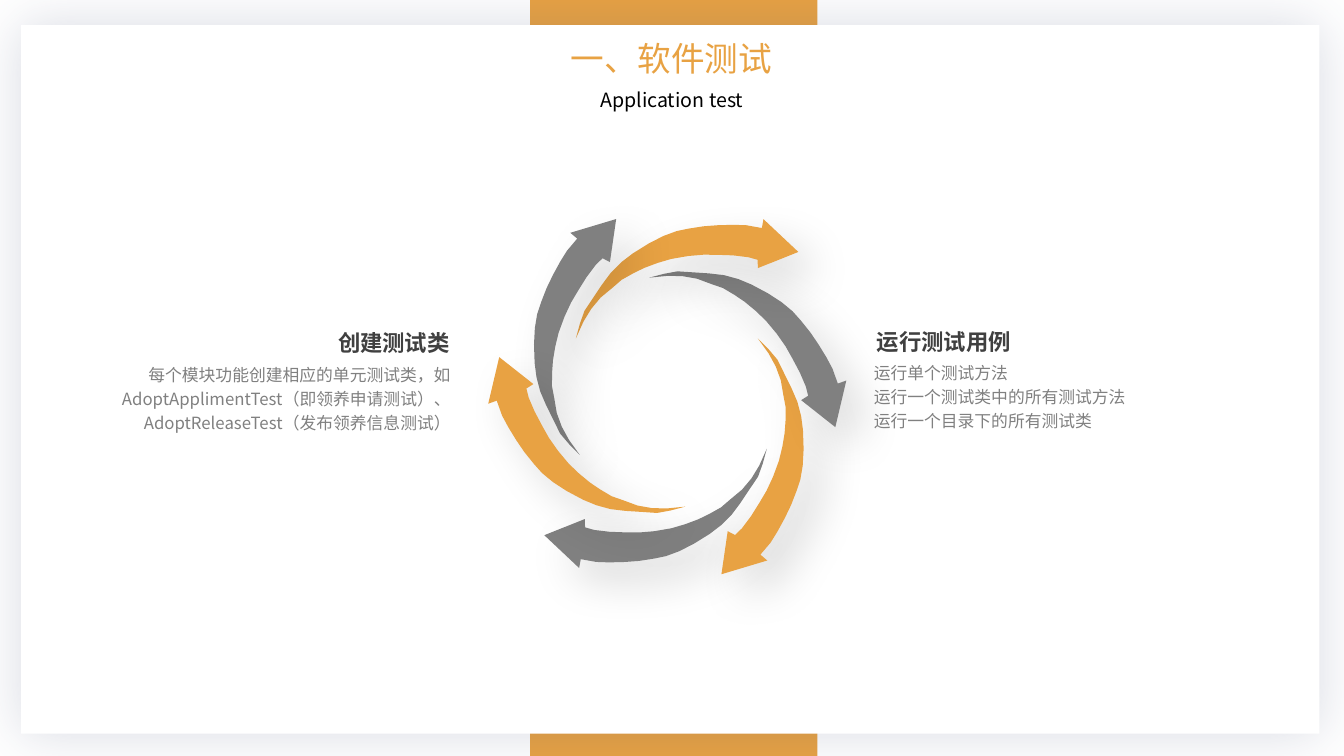
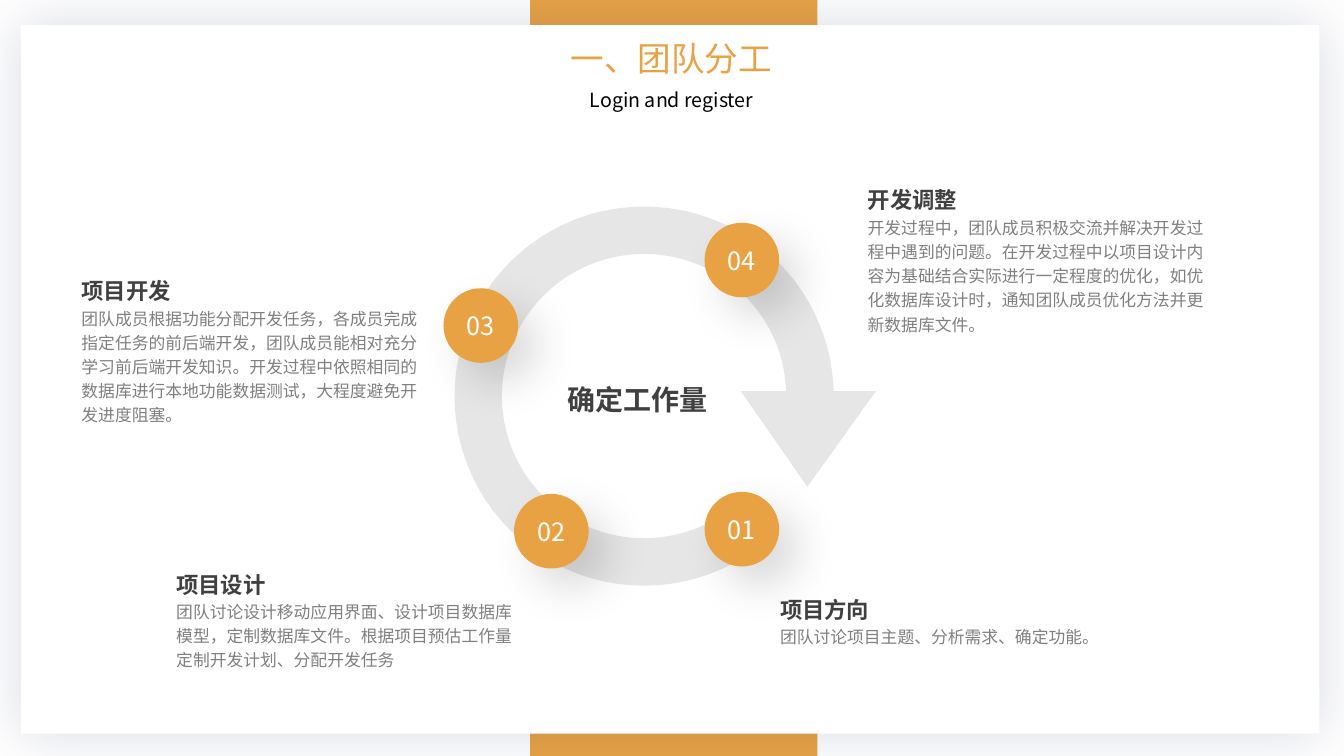
"""Build two slides about software testing and team roles."""
import math
from dataclasses import dataclass

import lxml.etree
import pptx
import pptx.dml.color
import pptx.enum.shapes
import pptx.enum.text
import pptx.oxml.ns
import pptx.presentation
import pptx.shapes.autoshape
import pptx.slide
import pptx.text.text
import pptx.util

Inches = pptx.util.Inches
Pt = pptx.util.Pt
qn = pptx.oxml.ns.qn
Align = pptx.enum.text.PP_ALIGN
Preset = pptx.enum.shapes.MSO_SHAPE
Point = tuple[float, float]

FONT = "Noto Sans CJK SC"
COLORS = {
    "accent": "E8A243",
    "white": "FFFFFF",
    "black": "000000",
    "heading": "404040",
    "gray": "808080",
    "ring": "E7E6E6",
    "panel_shadow": "434E77",
}


@dataclass(frozen=True)
class TextStyle:
    size: float
    color: str
    bold: bool = False
    spacing: float | None = None


@dataclass(frozen=True)
class Shadow:
    color: str
    opacity: int
    blur: float
    distance: float = 0
    angle: float = 0


@dataclass(frozen=True)
class Label:
    text: str
    left: float
    top: float
    width: float
    height: float
    style: TextStyle
    align: Align = Align.LEFT


@dataclass(frozen=True)
class Badge:
    number: str
    left: float
    top: float


@dataclass(frozen=True)
class Stage:
    heading: str
    body: str
    left: float
    heading_top: float
    body_top: float
    body_height: float


TITLE = TextStyle(24, "accent")
SUBTITLE = TextStyle(14, "black")
HEADING = TextStyle(16, "heading", True, 1.2)
BODY = TextStyle(12, "gray", False, 1.2)
CENTER = TextStyle(20, "heading", True, 1.2)
BADGE = TextStyle(18, "white")
PANEL_SHADOW = Shadow("panel_shadow", 20, 40)
SOFT_SHADOW = Shadow("black", 14, 32, 19, 45)

BADGE_SIZE = 0.74
ARROW_ANGLE = 343.6
ARROW_STEP = 60
ARROW_CENTERS = [(6.58, 5.14), (7.6, 4.59), (7.55, 3.3), (6.74, 2.67), (5.67, 3.28), (5.69, 4.48)]
ARROW_OUTLINE = [
    (-0.77, -0.13), (-0.75, -0.21), (-1.18, -0.17), (-0.94, 0.24), (-0.9, 0.16),
    (-0.76, 0.23), (-0.64, 0.27), (-0.49, 0.31), (-0.35, 0.34), (-0.2, 0.36),
    (-0.08, 0.37), (0.06, 0.36), (0.22, 0.33), (0.4, 0.28), (0.53, 0.23),
    (0.66, 0.16), (0.78, 0.07), (0.9, -0.03), (1.02, -0.13), (1.1, -0.24),
    (1.18, -0.37), (1.06, -0.23), (0.95, -0.13), (0.83, -0.05), (0.69, 0.01),
    (0.58, 0.06), (0.45, 0.09), (0.33, 0.11), (0.19, 0.12), (0.05, 0.12),
    (-0.12, 0.1), (-0.27, 0.07), (-0.4, 0.03), (-0.55, -0.02), (-0.69, -0.08),
]
RING_CENTER = (6.39, 3.93)
OUTER_RADIUS = 1.88
INNER_RADIUS = 1.41
OUTER_ANGLES = [52, 90, 180, 270, 358.5]
INNER_ANGLES = [358, 270, 180, 90, 53.5]
RING_HEAD = [(8.69, 3.88), (8.01, 4.83), (7.35, 3.88)]

TEST_LABELS = [
    Label("每个模块功能创建相应的单元测试类，如AdoptApplimentTest（即领养申请测试）、AdoptReleaseTest（发布领养信息测试）",
          0.75, 3.53, 3.82, 0.81, BODY, Align.RIGHT),
    Label("创建测试类", 2.11, 3.16, 2.45, 0.4, HEADING, Align.RIGHT),
    Label("运行单个测试方法\n运行一个测试类中的所有测试方法\n运行一个目录下的所有测试类",
          8.57, 3.51, 3.82, 0.81, BODY),
    Label("运行测试用例", 8.6, 3.15, 2.45, 0.4, HEADING),
]
BADGES = [
    Badge("01", 6.99, 4.88),
    Badge("02", 5.1, 4.9),
    Badge("03", 4.4, 2.86),
    Badge("04", 6.99, 2.21),
]
STAGES = [
    Stage("项目方向", "团队讨论项目主题、分析需求、确定功能。", 7.64, 5.81, 6.13, 0.34),
    Stage("开发调整", "开发过程中，团队成员积极交流并解决开发过程中遇到的问题。在开发过程中以项目设计内容为基础结合实际进行一定程度的优化，如优化数据库设计时，通知团队成员优化方法并更新数据库文件。",
          8.51, 1.74, 2.07, 1.31),
    Stage("项目设计", "团队讨论设计移动应用界面、设计项目数据库模型，定制数据库文件。根据项目预估工作量定制开发计划、分配开发任务",
          1.65, 5.56, 5.88, 0.83),
    Stage("项目开发", "团队成员根据功能分配开发任务，各成员完成指定任务的前后端开发，团队成员能相对充分学习前后端开发知识。开发过程中依照相同的数据库进行本地功能数据测试，大程度避免开发进度阻塞。",
          0.71, 2.65, 2.97, 1.31),
]


def rgb(name: str) -> pptx.dml.color.RGBColor:
    return pptx.dml.color.RGBColor.from_string(COLORS[name])


def paint(shape: pptx.shapes.autoshape.Shape, color: str, shadow: Shadow | None = None) -> None:
    shape.fill.solid()
    shape.fill.fore_color.rgb = rgb(color)
    shape.line.fill.background()
    shape.shadow.inherit = False
    if shadow is None:
        return
    effects = shape._element.spPr.find(qn("a:effectLst"))
    outer = lxml.etree.SubElement(effects, qn("a:outerShdw"), {
        "blurRad": str(Pt(shadow.blur)),
        "dist": str(Pt(shadow.distance)),
        "dir": str(round(shadow.angle * 60000)),
        "algn": "ctr",
        "rotWithShape": "0",
    })
    tint = lxml.etree.SubElement(outer, qn("a:srgbClr"), val=COLORS[shadow.color])
    lxml.etree.SubElement(tint, qn("a:alpha"), val=str(shadow.opacity * 1000))


def write(paragraph: pptx.text.text._Paragraph, text: str, style: TextStyle, align: Align) -> None:
    paragraph.alignment = align
    if style.spacing:
        paragraph.line_spacing = style.spacing
    for index, line in enumerate(text.split("\n")):
        if index:
            paragraph.add_line_break()
        run = paragraph.add_run()
        run.text = line
        run.font.size = Pt(style.size)
        run.font.bold = style.bold
        run.font.color.rgb = rgb(style.color)
        run.font.name = FONT
        properties = run._r.get_or_add_rPr()
        lxml.etree.SubElement(properties, qn("a:ea"), typeface=FONT)


def add_label(slide: pptx.slide.Slide, label: Label) -> None:
    box = slide.shapes.add_textbox(
        Inches(label.left), Inches(label.top), Inches(label.width), Inches(label.height))
    frame = box.text_frame
    frame.word_wrap = True
    frame.auto_size = pptx.enum.text.MSO_AUTO_SIZE.SHAPE_TO_FIT_TEXT
    write(frame.paragraphs[0], label.text, label.style, label.align)


def add_preset(slide: pptx.slide.Slide, preset: Preset, left: float, top: float, width: float,
               height: float, color: str, shadow: Shadow | None = None) -> pptx.shapes.autoshape.Shape:
    shape = slide.shapes.add_shape(
        preset, Inches(left), Inches(top), Inches(width), Inches(height))
    paint(shape, color, shadow)
    return shape


def add_outline(slide: pptx.slide.Slide, points: list[Point], color: str,
                shadow: Shadow | None = None) -> pptx.shapes.autoshape.Shape:
    corners = [(Inches(x), Inches(y)) for x, y in points]
    builder = slide.shapes.build_freeform(*corners[0])
    builder.add_line_segments(corners[1:], close=True)
    shape = builder.convert_to_shape()
    paint(shape, color, shadow)
    return shape


def on_ring(radius: float, degrees: float) -> Point:
    angle = math.radians(degrees)
    return RING_CENTER[0] + radius * math.cos(angle), RING_CENTER[1] + radius * math.sin(angle)


def arc_controls(radius: float, start: float, end: float) -> list[Point]:
    handle = 4 / 3 * math.tan(math.radians(end - start) / 4)
    reach = radius * math.hypot(1, handle)
    lean = math.degrees(math.atan(handle))
    return [on_ring(reach, start + lean), on_ring(reach, end - lean)]


def bend(shape: pptx.shapes.autoshape.Shape, segment: lxml.etree._Element,
         controls: list[Point]) -> None:
    segment.tag = qn("a:cubicBezTo")
    for index, (x, y) in enumerate(controls):
        position = {"x": str(Inches(x) - shape.left), "y": str(Inches(y) - shape.top)}
        segment.insert(index, lxml.etree.Element(qn("a:pt"), position))


def add_ring(slide: pptx.slide.Slide) -> None:
    outer = [on_ring(OUTER_RADIUS, angle) for angle in OUTER_ANGLES]
    inner = [on_ring(INNER_RADIUS, angle) for angle in INNER_ANGLES]
    ring = add_outline(slide, outer + RING_HEAD + inner, "ring")
    segments = list(ring._element.iter(qn("a:lnTo")))
    inner_start = len(outer) + len(RING_HEAD)
    for radius, angles, first in ((OUTER_RADIUS, OUTER_ANGLES, 0),
                                  (INNER_RADIUS, INNER_ANGLES, inner_start)):
        for index, (start, end) in enumerate(zip(angles, angles[1:])):
            bend(ring, segments[first + index], arc_controls(radius, start, end))


def add_base_slide(presentation: pptx.presentation.Presentation, title: str,
                   subtitle: str) -> pptx.slide.Slide:
    slide = presentation.slides.add_slide(presentation.slide_layouts[6])
    add_preset(slide, Preset.RECTANGLE, 5.26, 0, 2.85, 7.5, "accent")
    add_preset(slide, Preset.RECTANGLE, 0.21, 0.25, 12.88, 7.03, "white", PANEL_SHADOW)
    add_label(slide, Label(title, 3.95, 0.33, 5.42, 0.5, TITLE, Align.CENTER))
    add_label(slide, Label(subtitle, 3.2, 0.82, 6.93, 0.34, SUBTITLE, Align.CENTER))
    return slide


def add_test_slide(presentation: pptx.presentation.Presentation) -> None:
    slide = add_base_slide(presentation, "一、软件测试", "Application test")
    for index, (center_x, center_y) in enumerate(ARROW_CENTERS):
        points = [(center_x + x, center_y + y) for x, y in ARROW_OUTLINE]
        color = "accent" if index % 2 else "gray"
        arrow = add_outline(slide, points, color, SOFT_SHADOW)
        arrow.rotation = ARROW_ANGLE - ARROW_STEP * index
    for label in TEST_LABELS:
        add_label(slide, label)


def add_team_slide(presentation: pptx.presentation.Presentation) -> None:
    slide = add_base_slide(presentation, "一、团队分工", "Login and register")
    add_ring(slide)
    for badge in BADGES:
        circle = add_preset(slide, Preset.OVAL, badge.left, badge.top, BADGE_SIZE, BADGE_SIZE,
                            "accent", SOFT_SHADOW)
        circle.text_frame.vertical_anchor = pptx.enum.text.MSO_ANCHOR.MIDDLE
        write(circle.text_frame.paragraphs[0], badge.number, BADGE, Align.CENTER)
    for stage in STAGES:
        add_label(slide, Label(stage.body, stage.left, stage.body_top, 3.58,
                               stage.body_height, BODY))
        add_label(slide, Label(stage.heading, stage.left, stage.heading_top, 2.45, 0.42, HEADING))
    add_label(slide, Label("确定工作量", 5.1, 3.68, 2.45, 0.5, CENTER, Align.CENTER))


def main() -> None:
    presentation = pptx.Presentation()
    presentation.slide_width = Inches(40 / 3)
    presentation.slide_height = Inches(7.5)
    add_test_slide(presentation)
    add_team_slide(presentation)
    presentation.save("out.pptx")


if __name__ == "__main__":
    main()
